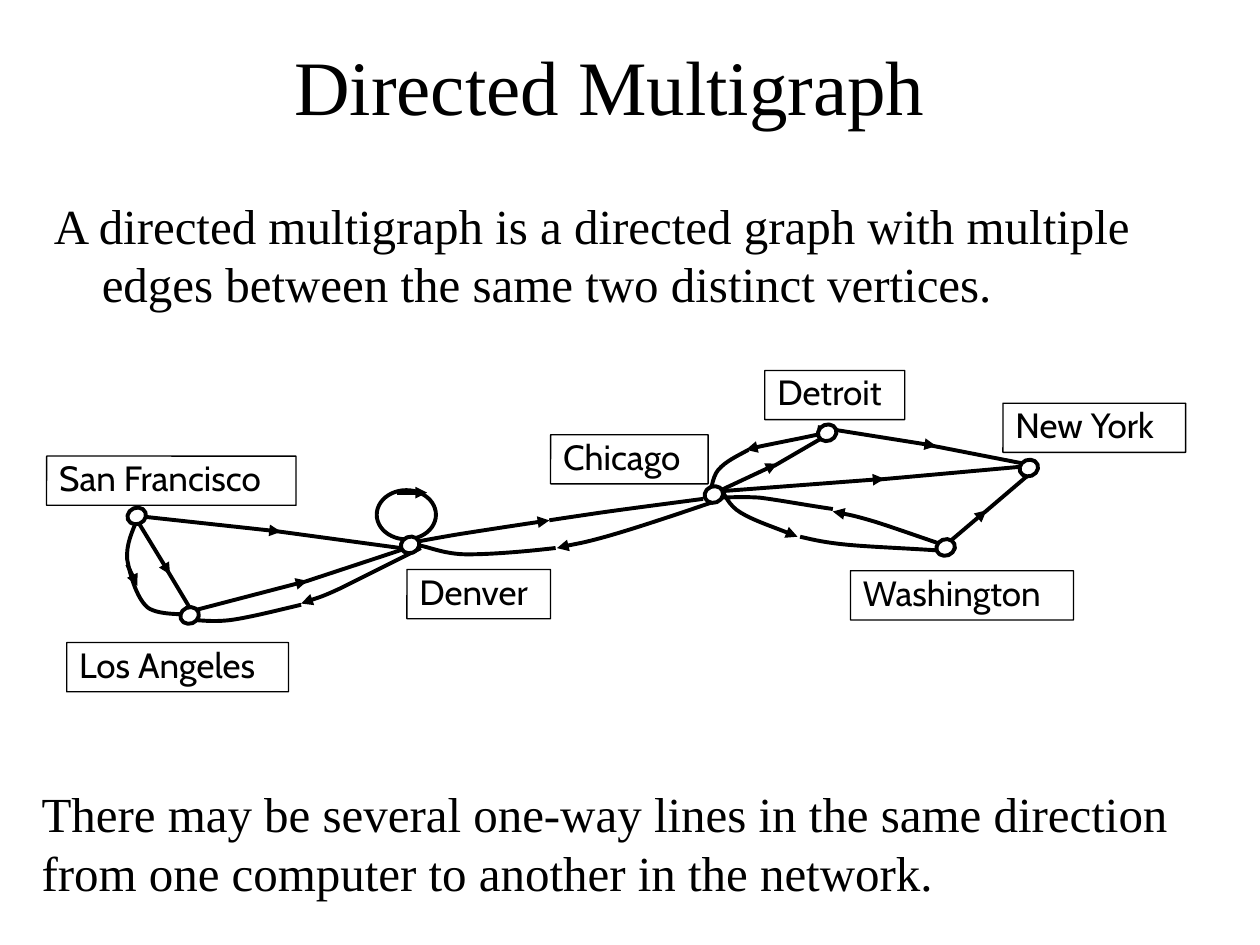
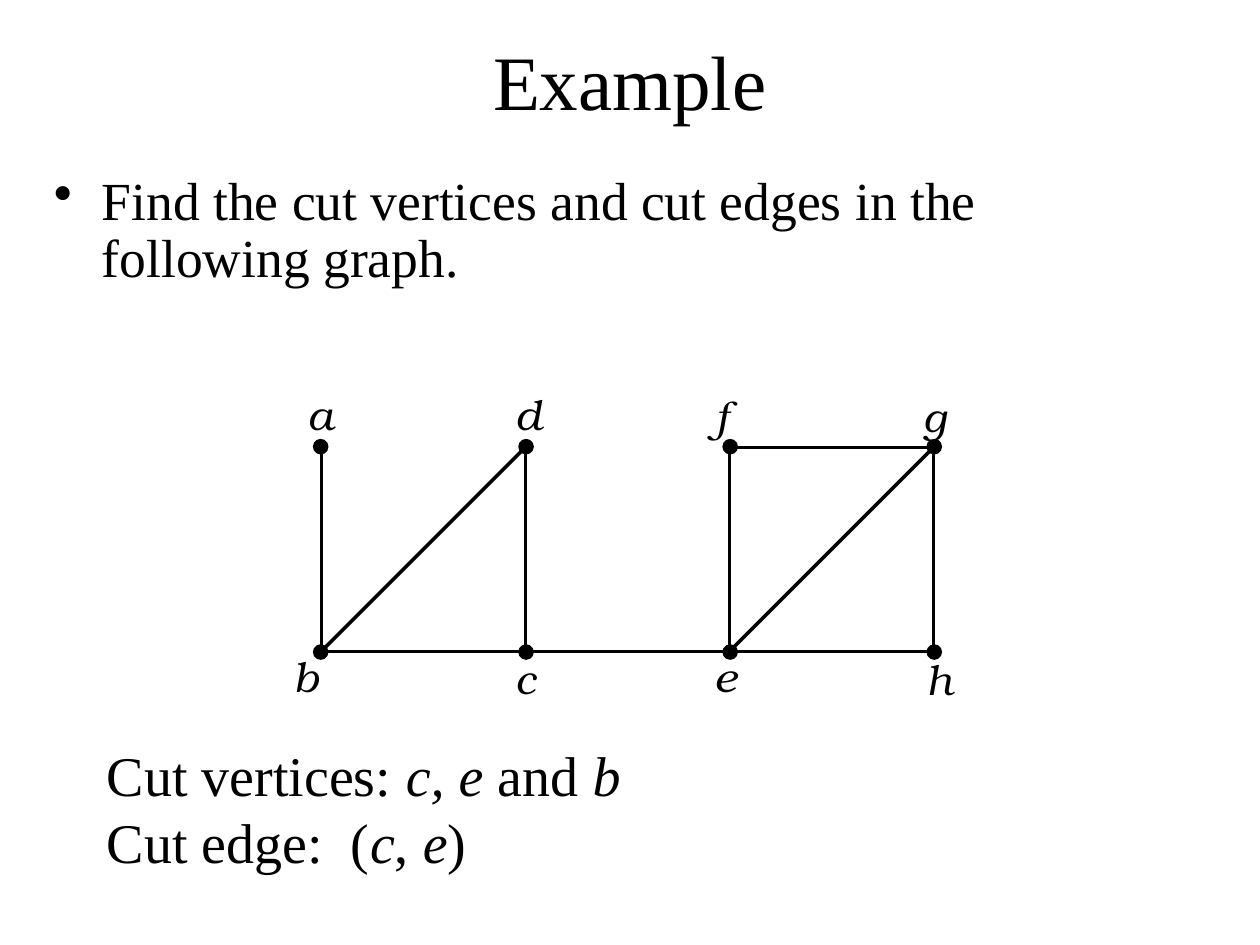
from lxml.etree import SubElement
from pptx import Presentation
from pptx.dml.color import RGBColor
from pptx.enum.shapes import MSO_CONNECTOR as Connector, MSO_SHAPE as Preset
from pptx.enum.text import MSO_ANCHOR as Anchor, PP_ALIGN as Align
from pptx.oxml.ns import qn
from pptx.util import Inches, Pt

COLORS = {"ink": "000000", "paper": "FFFFFF"}
SERIF, SANS, MATH = "Times New Roman", "Cabin", "TeX Gyre Bonum"
HANGING = 0.38


def color(name):
    return RGBColor.from_string(COLORS[name])


def inches(*values):
    return [Inches(round(value, 2)) for value in values]


def write_text(frame, paragraphs, *, size, font=SERIF, italic=False, align=Align.LEFT,
               anchor=Anchor.TOP, insets=(0.1, 0.05), spacing=None, hanging=False, bullet=None):
    """Each paragraph is a list of spans; every second span flips the italics."""
    frame.word_wrap = True
    frame.vertical_anchor = anchor
    frame.margin_left = frame.margin_right = Inches(insets[0])
    frame.margin_top = frame.margin_bottom = Inches(insets[1])
    for index, spans in enumerate(paragraphs):
        para = frame.add_paragraph() if index else frame.paragraphs[0]
        para.alignment = align
        para.space_before = Pt(0)
        if spacing:
            para.line_spacing = spacing
        properties = para._p.get_or_add_pPr()
        if hanging:
            properties.set("marL", str(Inches(HANGING)))
            properties.set("indent", str(-Inches(HANGING)))
        if bullet:
            SubElement(properties, qn("a:buChar")).set("char", bullet)
        for number, words in enumerate(spans):
            span = para.add_run()
            span.text = words
            span.font.name, span.font.size = font, Pt(size)
            span.font.italic = italic != bool(number % 2)
            span.font.color.rgb = color("ink")


def add_text(shapes, box, paragraphs, **text_format):
    text_box = shapes.add_textbox(*inches(*box))
    write_text(text_box.text_frame, paragraphs, **text_format)


def add_title(page, box, words):
    title = page.shapes.title
    title.left, title.top, title.width, title.height = inches(*box)
    write_text(title.text_frame, [[words]], size=44, align=Align.CENTER, anchor=Anchor.MIDDLE)


def add_outline(shapes, preset, box, weight, fill=None):
    shape = shapes.add_shape(preset, *inches(*box))
    shape.shadow.inherit = False
    shape.line.color.rgb = color("ink")
    shape.line.width = Pt(weight)
    if fill:
        shape.fill.solid()
        shape.fill.fore_color.rgb = color(fill)
    else:
        shape.fill.background()
    return shape


def set_arrow(line, arrow):
    if arrow:
        SubElement(line._get_or_add_ln(), qn(f"a:{arrow}End")).set("type", "triangle")


def add_line(shapes, start, end, weight, arrow=None):
    line = shapes.add_connector(Connector.STRAIGHT, *inches(*start, *end))
    line.line.color.rgb = color("ink")
    line.line.width = Pt(weight)
    set_arrow(line.line, arrow)
    SubElement(line._element.spPr, qn("a:effectLst"))


def add_curve(shapes, points, weight, arrow=None):
    """Draw a chain of cubic curves: a start, then three points for each piece."""
    start, *rest = [inches(*point) for point in points]
    builder = shapes.build_freeform(*start)
    builder.add_line_segments(rest, close=False)
    curve = builder.convert_to_shape()
    steps = list(curve._element.iter(qn("a:lnTo")))
    for first in range(0, len(steps), 3):
        path = steps[first].getparent()
        piece = SubElement(path, qn("a:cubicBezTo"))
        for step in steps[first:first + 3]:
            piece.append(step[0])
            path.remove(step)
    curve.shadow.inherit = False
    curve.fill.background()
    curve.line.color.rgb = color("ink")
    curve.line.width = Pt(weight)
    set_arrow(curve.line, arrow)


# City labels: left, top, width
CITY_LABELS = {
    "San Francisco": (0.37, 0.72, 1.98), "Denver": (3.23, 1.62, 1.14),
    "Los Angeles": (0.53, 2.2, 1.76), "New York": (7.96, 0.3, 1.45),
    "Chicago": (4.37, 0.55, 1.25), "Washington": (6.75, 1.63, 1.77),
    "Detroit": (6.07, 0.04, 1.11),
}
CITY_NODES = [(3.18, 1.36), (5.59, 0.96), (6.49, 0.47), (7.43, 1.38), (8.09, 0.75),
              (1.01, 1.13), (1.43, 1.92)]
# Straight links: start, arrow tip, end
STRAIGHT_LINKS = [
    ((1.13, 1.2), (2.23, 1.32), (3.18, 1.45)),
    ((7.5, 1.43), (7.83, 1.15), (8.15, 0.88)),
    ((5.7, 1.0), (7.02, 0.9), (8.15, 0.8)),
    ((1.52, 1.95), (2.44, 1.71), (3.23, 1.45)),
    ((1.07, 1.2), (1.35, 1.66), (1.54, 1.98)),
    ((5.7, 1.0), (6.17, 0.78), (6.57, 0.55)),
    ((6.49, 0.49), (7.43, 0.64), (8.23, 0.8)),
]
# Curved links: arrow end, then the points
CURVED_LINKS = [
    # Denver to Los Angeles
    ("tail", (3.34, 1.45), (3.1, 1.57), (2.86, 1.69), (2.7, 1.77),
     (2.55, 1.84), (2.44, 1.87), (2.39, 1.89)),
    (None, (2.39, 1.9), (2.18, 1.95), (1.98, 2.0), (1.84, 2.02),
     (1.69, 2.04), (1.57, 2.02), (1.52, 2.02)),
    # Chicago to Denver
    ("tail", (5.7, 1.07), (5.38, 1.18), (5.05, 1.29), (4.84, 1.35),
     (4.63, 1.41), (4.49, 1.43), (4.42, 1.45)),
    (None, (4.41, 1.45), (4.15, 1.48), (3.89, 1.5), (3.71, 1.5),
     (3.53, 1.5), (3.4, 1.44), (3.33, 1.43)),
    # Washington to Chicago
    ("tail", (7.59, 1.46), (7.35, 1.38), (7.1, 1.29), (6.94, 1.24),
     (6.77, 1.19), (6.66, 1.17), (6.61, 1.16)),
    (None, (6.61, 1.14), (6.4, 1.11), (6.19, 1.07), (6.03, 1.05),
     (5.88, 1.04), (5.76, 1.05), (5.7, 1.05)),
    # Chicago to Washington
    (None, (7.46, 1.47), (7.17, 1.45), (6.87, 1.44), (6.69, 1.42),
     (6.5, 1.4), (6.4, 1.37), (6.35, 1.36)),
    ("head", (6.33, 1.36), (6.16, 1.29), (5.98, 1.23), (5.88, 1.17),
     (5.78, 1.11), (5.76, 1.03), (5.73, 1.0)),
    # Detroit to Chicago
    ("tail", (6.58, 0.53), (6.31, 0.59), (6.03, 0.64), (5.92, 0.67)),
    (None, (5.94, 0.67), (5.85, 0.72), (5.76, 0.76), (5.7, 0.83),
     (5.65, 0.89), (5.64, 1.02), (5.63, 1.06)),
    # Denver to Chicago
    (None, (5.58, 1.06), (5.28, 1.1), (4.97, 1.14), (4.76, 1.17),
     (4.56, 1.2), (4.42, 1.22), (4.36, 1.23)),
    ("head", (4.36, 1.23), (4.09, 1.27), (3.83, 1.31), (3.64, 1.34),
     (3.46, 1.37), (3.31, 1.4), (3.24, 1.41)),
    # San Francisco to Los Angeles
    (None, (1.09, 1.22), (1.05, 1.32), (1.0, 1.42), (1.01, 1.54), (1.03, 1.65),
     (1.08, 1.84), (1.17, 1.92), (1.26, 1.99), (1.5, 1.97), (1.56, 1.98)),
]


def draw_city_network(shapes, left, top):
    weight, overlap = 2.25, 0.07

    def place(point):
        return left + point[0], top + point[1]

    # City names
    for city, (x, y, width) in CITY_LABELS.items():
        label = add_outline(shapes, Preset.ROUNDED_RECTANGLE, (*place((x, y)), width, 0.39), 0.75)
        label.adjustments[0] = 0.005
        write_text(label.text_frame, [[city]], size=20, font=SANS, spacing=0.87)
    # Straight links, whose second half starts just behind the arrow tip
    for link in STRAIGHT_LINKS:
        start, tip, end = map(place, link)
        behind = [t + overlap * (s - t) for s, t in zip(start, tip)]
        add_line(shapes, start, tip, weight, "tail")
        add_line(shapes, behind, end, weight)
    # Curved links
    for arrow, *points in CURVED_LINKS:
        add_curve(shapes, [place(point) for point in points], weight, arrow)
    # Loop at Denver and the arrow on the San Francisco curve
    add_outline(shapes, Preset.OVAL, (*place((2.99, 0.99)), 0.47, 0.39), weight)
    add_line(shapes, place((3.15, 1.01)), place((3.39, 1.01)), weight, "tail")
    add_line(shapes, place((1.01, 1.58)), place((1.09, 1.75)), weight, "tail")
    # Nodes
    for node in CITY_NODES:
        ring = add_outline(shapes, Preset.OVAL, (*place(node), 0.15, 0.13), weight, "paper")
        ring.rotation = 338


# Vertices: column, row, label offset from the vertex
VERTICES = {
    "a": (0, 0, -0.11, -0.47), "d": (1, 0, -0.08, -0.47),
    "f": (2, 0, -0.12, -0.45), "g": (3, 0, -0.08, -0.45),
    "b": (0, 1, -0.22, -0.01), "c": (1, 1, -0.08, 0.01),
    "e": (2, 1, -0.12, -0.01), "h": (3, 1, -0.06, 0.02),
}
EDGES = ["ab", "bd", "dc", "bc", "ce", "fe", "fg", "ge", "gh", "eh"]


def draw_vertex_graph(shapes, left, top):
    step, dot = 1.62, 0.11
    centers = {name: (left + column * step, top + row * step)
               for name, (column, row, *_) in VERTICES.items()}
    for start, end in EDGES:
        add_line(shapes, centers[start], centers[end], 2)
    for name, (x, y) in centers.items():
        add_outline(shapes, Preset.OVAL, (x - dot / 2, y - dot / 2, dot, dot), 1, "ink")
        shift_x, shift_y = VERTICES[name][2:]
        add_text(shapes, (x + shift_x, y + shift_y, 0.32, 0.4), [[name]],
                 size=24, font=MATH, italic=True, insets=(0, 0))


def build_multigraph_page(page):
    add_title(page, (0.17, 0.17, 9.34, 1), "Directed Multigraph")
    add_text(page.shapes, (0.33, 1.5, 9.33, 1.17),
             [["A directed multigraph is a directed graph with multiple edges "
               "between the same two distinct vertices."]], size=28, hanging=True)
    draw_city_network(page.shapes, 0, 2.9)
    add_text(page.shapes, (0.33, 6.17, 9.5, 1.04),
             [["There may be several one-way lines in the same direction "
               "from one computer to another in the network."]], size=28, insets=(0, 0.05))


def build_example_page(page):
    add_title(page, (0.5, 0.17, 9, 0.92), "Example")
    add_text(page.shapes, (0.33, 1.33, 8.5, 1.17),
             [["Find the cut vertices and cut edges in the following graph."]],
             size=30.6, spacing=0.9, hanging=True, bullet="•")
    draw_vertex_graph(page.shapes.add_group_shape().shapes, 2.55, 3.55)
    add_text(page.shapes, (0.75, 5.83, 9, 1.17),
             [["Cut vertices: ", "c, e", " and ", "b"],
              ["Cut edge:  (", "c", ", ", "e", ")"]], size=32)


def main():
    deck = Presentation()
    deck.slide_width, deck.slide_height = Inches(10), Inches(7.5)
    title_only = deck.slide_layouts[5]
    for build_page in (build_multigraph_page, build_example_page):
        page = deck.slides.add_slide(title_only)
        page.background.fill.solid()
        page.background.fill.fore_color.rgb = color("paper")
        build_page(page)
    deck.save("out.pptx")


if __name__ == "__main__":
    main()
